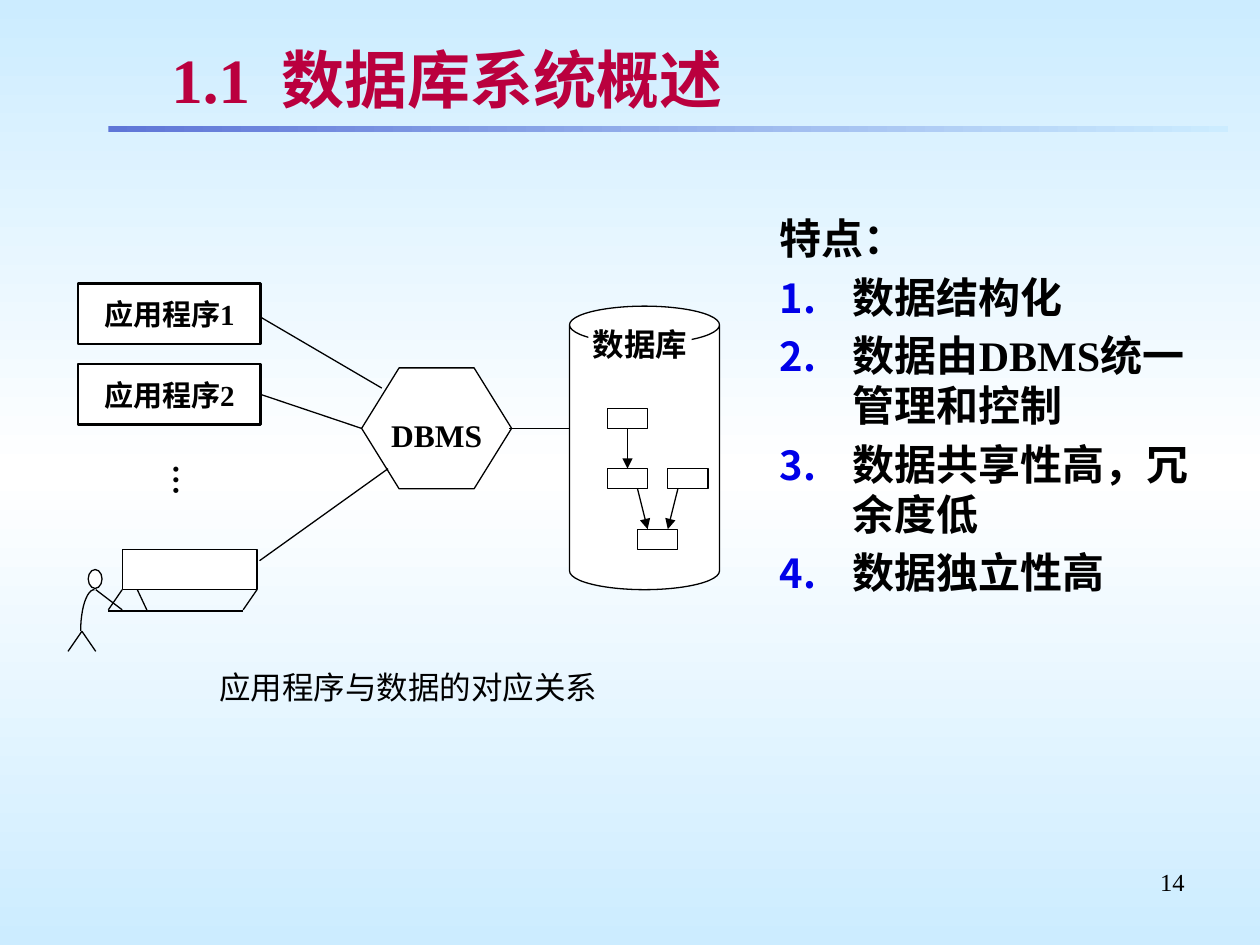
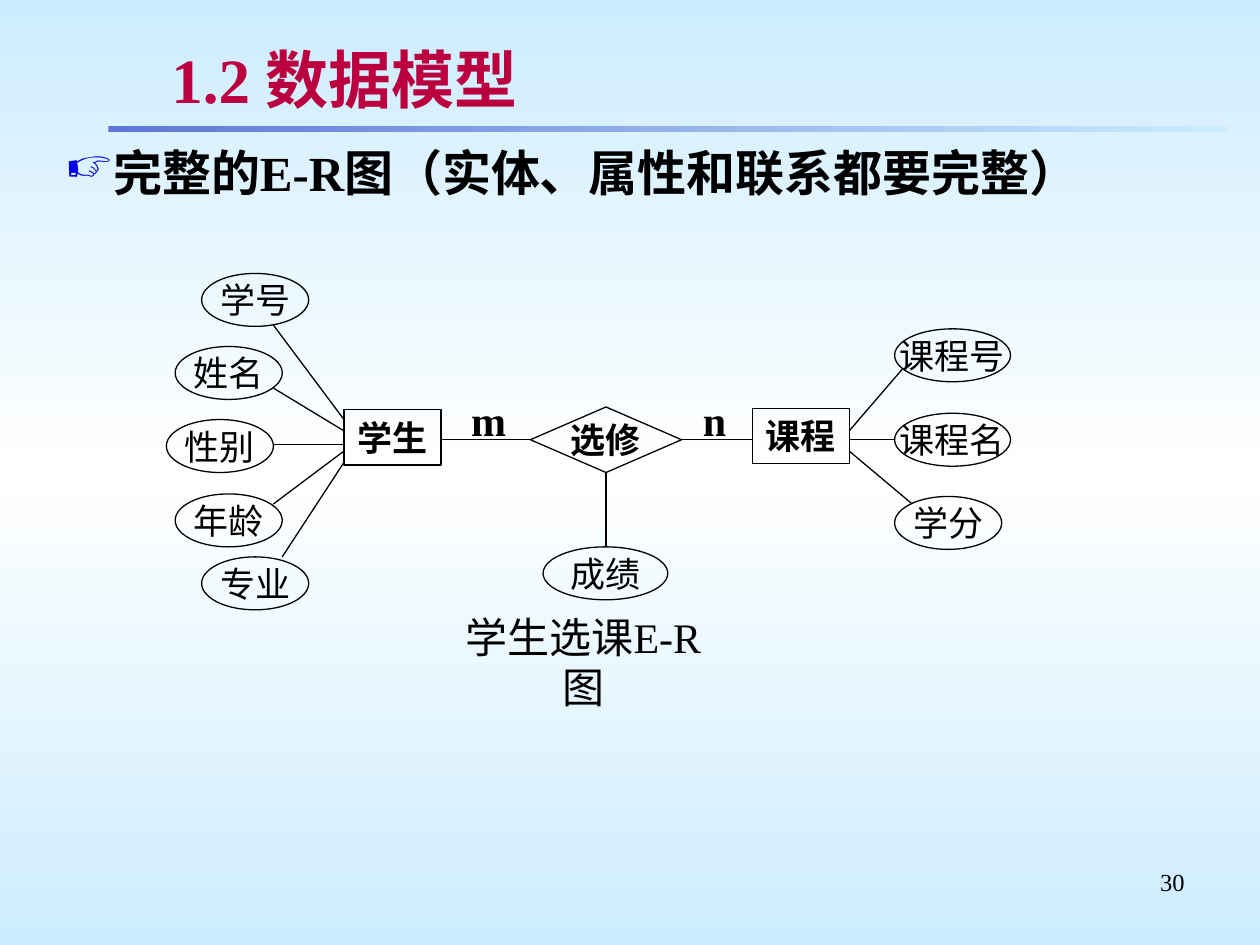
import copy
import math

import pptx
import pptx.util
from lxml import etree
from pptx.dml.color import RGBColor
from pptx.enum.shapes import MSO_CONNECTOR, MSO_SHAPE
from pptx.enum.text import MSO_ANCHOR, PP_ALIGN
from pptx.oxml.ns import qn
from pptx.util import Inches

SERIF = "Times New Roman"
HUES = {
    "ink": "000000",
    "paper": "FFFFFF",
    "sky": "CCECFF",
    "band": "5F76D7",
    "title": "BA003E",
    "mark": "0000E8",
    "shade": "B2B2B2",
}
PAD = (0.1, 0.05, 0.1, 0.05)


def hue(name):
    return RGBColor.from_string(HUES[name])


def child(node, tag, **attrs):
    return etree.SubElement(node, qn(tag), attrs)


# Text
def write(frame, text, size, bold=False, align=PP_ALIGN.LEFT, color="ink",
          font=SERIF, anchor=MSO_ANCHOR.TOP, pad=PAD, wrap=True):
    frame.text = text
    frame.word_wrap = wrap
    frame.vertical_anchor = anchor
    (frame.margin_left, frame.margin_top,
     frame.margin_right, frame.margin_bottom) = map(Inches, pad)
    for para in frame.paragraphs:
        para.alignment = align
        for run in para.runs:
            run.font.name = font
            run.font.size = pptx.util.Pt(size)
            run.font.bold = bold
            run.font.color.rgb = hue(color)


def label(slide, box, text, size, **style):
    frame = slide.shapes.add_textbox(*map(Inches, box)).text_frame
    write(frame, text, size, **style)
    return frame


def bullet(para, indent, tag, **attrs):
    props = para._p.get_or_add_pPr()
    props.set("marL", str(Inches(indent)))
    props.set("indent", str(-Inches(indent)))
    child(child(props, "a:buClr"), "a:srgbClr", val=HUES["mark"])
    child(props, "a:buSzPct", val="95000")
    child(props, tag, **attrs)


# Shapes and lines
def outline(shape, fill, width=0.75):
    shape.shadow.inherit = False
    if fill:
        shape.fill.solid()
        shape.fill.fore_color.rgb = hue(fill)
    else:
        shape.fill.background()
    shape.line.color.rgb = hue("ink")
    shape.line.width = pptx.util.Pt(width)


def node(slide, kind, box, text="", size=20, fill=None, width=0.75,
         bold=False, pad=PAD):
    shape = slide.shapes.add_shape(kind, *map(Inches, box))
    outline(shape, fill, width)
    if text:
        write(shape.text_frame, text, size, bold=bold, pad=pad, wrap=False,
              align=PP_ALIGN.CENTER, anchor=MSO_ANCHOR.MIDDLE)
    return shape


def link(slide, start, end, arrow=False):
    line = slide.shapes.add_connector(
        MSO_CONNECTOR.STRAIGHT, *map(Inches, start + end))
    line.line.color.rgb = hue("ink")
    line.line.width = pptx.util.Pt(0.75)
    if arrow:
        child(line.line._get_or_add_ln(), "a:tailEnd", type="triangle")
    child(line._element.spPr, "a:effectLst")


def blend(fill, angle, colors):
    fill.gradient_angle = angle
    for i, (stop, name) in enumerate(zip(fill.gradient_stops, colors)):
        stop.position = i / (len(colors) - 1)
        stop.color.rgb = hue(name)


# Shared page parts
def backdrop(deck):
    master = deck.slide_master
    fill = master.background.fill
    fill.gradient()
    stops = master.element.find(".//" + qn("a:gsLst"))
    stops.insert(1, copy.deepcopy(stops[0]))
    blend(fill, 90, ["sky", "paper", "sky"])


def page(deck, title, number):
    slide = deck.slides.add_slide(deck.slide_layouts[5])
    band = slide.shapes.add_shape(
        MSO_SHAPE.RECTANGLE, *map(Inches, (0.86, 1, 8.89, 0.05)))
    band.shadow.inherit = False
    band.line.fill.background()
    band.fill.gradient()
    blend(band.fill, 0, ["band", "sky"])

    head = slide.shapes.title
    head.left, head.top, head.width, head.height = map(
        Inches, (1.26, 0.29, 8.24, 0.67))
    write(head.text_frame, title, 36, bold=True, color="title",
          anchor=MSO_ANCHOR.MIDDLE, pad=(0.1, 0.04, 0.1, 0.04))
    props = head.text_frame.paragraphs[0].runs[0].font._element
    effect = etree.Element(qn("a:effectLst"))
    shade = child(effect, "a:outerShdw", dist="28398", dir="2700000")
    child(shade, "a:srgbClr", val=HUES["shade"])
    props.find(qn("a:solidFill")).addnext(effect)

    label(slide, (7.17, 6.83, 2.33, 0.52), str(number), 14,
          align=PP_ALIGN.RIGHT)
    return slide


# Person at a terminal
def user(slide):
    node(slide, MSO_SHAPE.RECTANGLE, (0.97, 4.36, 1.07, 0.32), fill="paper")
    node(slide, MSO_SHAPE.OVAL, (0.7, 4.52, 0.11, 0.15), fill="paper")
    turns = [math.radians(step * 7.5) for step in range(13)]
    points = [(Inches(0.75 - 0.11 * math.sin(t)),
               Inches(5.01 - 0.33 * math.cos(t))) for t in turns]
    body = slide.shapes.build_freeform(*points[0])
    body.add_line_segments(points[1:], close=False)
    outline(body.convert_to_shape(), None)
    for start, end in [
        ((1.01, 5.01), (1.01, 5.01)),
        ((1.09, 4.68), (1.17, 4.85)),
        ((0.97, 4.68), (0.86, 4.84)),
        ((2.04, 4.68), (1.93, 4.84)),
        ((0.86, 4.85), (1.93, 4.85)),
        ((0.65, 5.01), (0.76, 5.17)),
        ((0.65, 5.01), (0.54, 5.17)),
        ((0.76, 4.68), (0.97, 4.84)),
    ]:
        link(slide, start, end)


def store(slide):
    node(slide, MSO_SHAPE.CAN, (4.52, 2.43, 1.19, 2.25), fill="paper")
    for left, top in [(4.82, 3.24), (4.82, 3.72), (5.3, 3.72), (5.06, 4.2)]:
        node(slide, MSO_SHAPE.RECTANGLE, (left, top, 0.32, 0.16),
             fill="paper")
    for start, end in [((4.98, 3.4), (4.98, 3.72)),
                       ((5.06, 3.88), (5.14, 4.2)),
                       ((5.38, 3.88), (5.3, 4.2))]:
        link(slide, start, end, arrow=True)
    name = node(slide, MSO_SHAPE.RECTANGLE, (4.67, 2.57, 0.82, 0.32),
                "数据库", 18, fill="paper", bold=True, pad=(0, 0, 0, 0))
    name.line.fill.background()


def system(deck):
    slide = page(deck, "1.1  数据库系统概述", 14)

    # Feature list
    items = ["特点：", "数据结构化", "数据由DBMS统一管理和控制",
             "数据共享性高，冗余度低", "数据独立性高"]
    frame = label(slide, (6.09, 1.64, 3.62, 5.31), "\n".join(items), 24,
                  bold=True)
    for para in frame.paragraphs[1:]:
        para.space_before = pptx.util.Pt(4.5)
        bullet(para, 0.58, "a:buAutoNum", type="arabicPeriod")

    # Programs, DBMS and database
    user(slide)
    hexagon = node(slide, MSO_SHAPE.HEXAGON, (2.87, 2.92, 1.19, 0.96),
                   "DBMS", 18, fill="paper", bold=True, pad=(0, 0.1, 0, 0))
    hexagon.adjustments[0] = 0.31
    store(slide)
    for start, end in [((4.04, 3.4), (4.52, 3.4)),
                       ((1.92, 2.43), (3.03, 3.08)),
                       ((1.92, 3.08), (2.87, 3.4)),
                       ((2.06, 4.45), (3.08, 3.72))]:
        link(slide, start, end)
    for i in range(2):
        node(slide, MSO_SHAPE.RECTANGLE, (0.62, 2.25 + 0.64 * i, 1.45, 0.48),
             f"应用程序{i + 1}", 16.6, fill="paper", width=1.5, bold=True)
    dots = label(slide, (1.18, 3.59, 0.5, 0.67), "…", 18, bold=True,
                 pad=(0.05, 0.1, 0.05, 0.1))
    dots._txBody.find(qn("a:bodyPr")).set("vert", "eaVert")
    label(slide, (1.64, 5.25, 3.2, 0.4), "应用程序与数据的对应关系", 18,
          font="Arial", wrap=False)


def model(deck):
    slide = page(deck, "1.2 数据模型", 30)
    frame = label(slide, (0.42, 1.08, 9.25, 0.6),
                  "完整的E-R图（实体、属性和联系都要完整）", 28, bold=True)
    bullet(frame.paragraphs[0], 0.38, "a:buChar", char="☞")

    # Entities and their relation
    for text, left, top in [("学生", 2.73, 3.25), ("课程", 5.97, 3.24)]:
        node(slide, MSO_SHAPE.RECTANGLE, (left, top, 0.77, 0.44), text,
             bold=True)
    node(slide, MSO_SHAPE.DIAMOND, (4.21, 3.23, 1.2, 0.52), "选修", bold=True)
    for text, left in [("m", 3.64), ("n", 5.48)]:
        label(slide, (left, 3.08, 0.35, 0.5), text, 24, bold=True, wrap=False)
    link(slide, (3.5, 3.49), (4.21, 3.49))
    link(slide, (5.41, 3.49), (5.97, 3.49))

    # Attributes, each tied to its owner
    for text, left, top, width, start, end in [
        ("学号", 1.6, 2.17, 0.85, (2.17, 2.58), (2.73, 3.33)),
        ("姓名", 1.39, 2.75, 0.85, (2.17, 3.08), (2.73, 3.42)),
        ("性别", 1.32, 3.33, 0.85, (2.17, 3.53), (2.73, 3.53)),
        ("年龄", 1.39, 3.92, 0.85, (2.17, 4), (2.73, 3.58)),
        ("专业", 1.6, 4.42, 0.85, (2.24, 4.42), (2.73, 3.67)),
        ("课程号", 7.1, 2.61, 0.92, (6.74, 3.42), (7.17, 2.92)),
        ("课程名", 7.1, 3.28, 0.92, (6.74, 3.49), (7.1, 3.49)),
        ("学分", 7.1, 3.94, 0.85, (6.74, 3.58), (7.24, 4)),
        ("成绩", 4.31, 4.34, 0.99, (4.81, 3.75), (4.81, 4.33)),
    ]:
        node(slide, MSO_SHAPE.OVAL, (left, top, width, 0.42), text)
        link(slide, start, end)
    label(slide, (3.43, 5, 2.4, 0.5), "学生选课E-R图", 24, wrap=False,
          align=PP_ALIGN.CENTER, anchor=MSO_ANCHOR.MIDDLE)


def main():
    deck = pptx.Presentation()
    deck.slide_width, deck.slide_height = Inches(10), Inches(7.5)
    backdrop(deck)
    system(deck)
    model(deck)
    deck.save("out.pptx")


if __name__ == "__main__":
    main()
